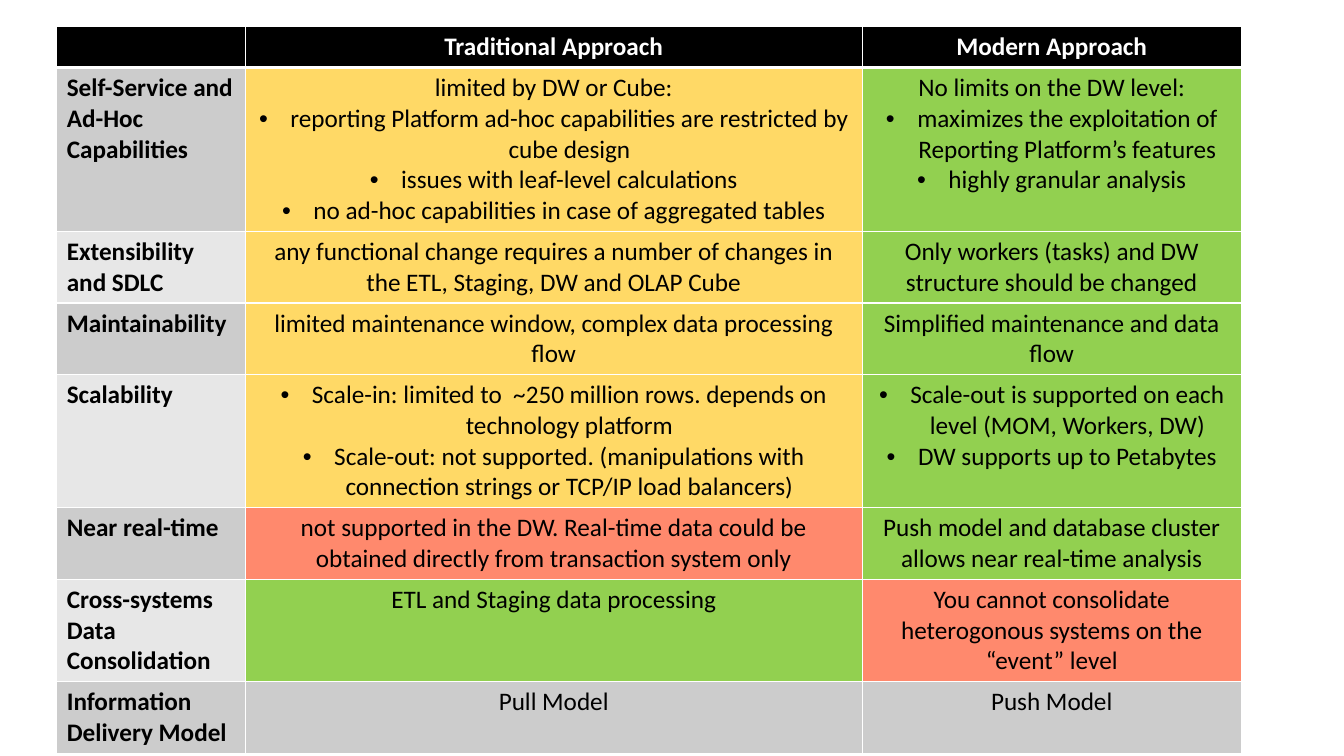
from lxml.etree import SubElement
from pptx import Presentation
from pptx.dml.color import RGBColor
from pptx.enum.text import PP_ALIGN
from pptx.oxml.ns import qn
from pptx.util import Cm, Pt

WHITE, BLACK = "FFFFFF", "000000"
GRAY, LIGHT_GRAY = "CCCCCC", "E7E7E7"
YELLOW, GREEN, RED = "FFD966", "92D050", "FF896D"
BULLET = "• "


def color(hex_code):
    return RGBColor.from_string(hex_code)


def set_borders(cell, widths):
    """Draw white left, right, top and bottom borders of the given widths."""
    properties = cell._tc.get_or_add_tcPr()
    for position, (side, width) in enumerate(zip("LRTB", widths)):
        line = SubElement(properties, qn(f"a:ln{side}"), w=str(Pt(width)))
        fill = SubElement(line, qn("a:solidFill"))
        SubElement(fill, qn("a:srgbClr"), val=WHITE)
        properties.insert(position, line)


# Each row holds (fill, paragraphs) for its three cells
rows = [
    [(BLACK, []),
     (BLACK, ["Traditional Approach"]),
     (BLACK, ["Modern Approach"])],
    [(GRAY, ["Self-Service and Ad-Hoc Capabilities"]),
     (YELLOW, ["limited by DW or Cube:",
               "• reporting Platform ad-hoc capabilities are restricted by cube design",
               "• issues with leaf-level calculations",
               "• no ad-hoc capabilities in case of aggregated tables"]),
     (GREEN, ["No limits on the DW level:",
              "• maximizes the exploitation of Reporting Platform’s features",
              "• highly granular analysis"])],
    [(LIGHT_GRAY, ["Extensibility and SDLC"]),
     (YELLOW, ["any functional change requires a number of changes in the ETL, Staging, DW and OLAP Cube"]),
     (GREEN, ["Only workers (tasks) and DW structure should be changed"])],
    [(GRAY, ["Maintainability"]),
     (YELLOW, ["limited maintenance window, complex data processing flow"]),
     (GREEN, ["Simplified maintenance and data flow"])],
    [(LIGHT_GRAY, ["Scalability"]),
     (YELLOW, ["• Scale-in: limited to  ~250 million rows. depends on technology platform",
               "• Scale-out: not supported. (manipulations with connection strings or TCP/IP load balancers)"]),
     (GREEN, ["• Scale-out is supported on each level (MOM, Workers, DW)",
              "• DW supports up to Petabytes"])],
    [(GRAY, ["Near real-time"]),
     (RED, ["not supported in the DW. Real-time data could be obtained directly from transaction system only"]),
     (GREEN, ["Push model and database cluster allows near real-time analysis"])],
    [(LIGHT_GRAY, ["Cross-systems Data Consolidation"]),
     (GREEN, ["ETL and Staging data processing"]),
     (RED, ["You cannot consolidate heterogonous systems on the “event” level"])],
    [(GRAY, ["Information Delivery Model"]),
     (GRAY, ["Pull Model"]),
     (GRAY, ["Push Model"])],
]

# Page
deck = Presentation()
deck.slide_width, deck.slide_height = Cm(33.87), Cm(19.05)
page = deck.slides.add_slide(deck.slide_layouts[6])

# Table grid: rows grow to fit their text
frame = page.shapes.add_table(len(rows), 3, Cm(1.43), Cm(0.67), Cm(29.85), Cm(18.06))
table = frame.table
for column, width in zip(table.columns, (4.75, 15.55, 9.55)):
    column.width = Cm(width)
for row in table.rows:
    row.height = Cm(1.03)
frame.height = Cm(18.06)

# Cells
for row_index, row in enumerate(rows):
    is_header = row_index == 0
    for column_index, (fill, paragraphs) in enumerate(row):
        is_label = column_index == 0
        cell = table.cell(row_index, column_index)
        cell.fill.solid()
        cell.fill.fore_color.rgb = color(fill)
        set_borders(cell, (1, 1, 3 if row_index == 1 else 1, 3 if is_header else 1))

        for index, text in enumerate(paragraphs):
            para = cell.text_frame.paragraphs[0] if index == 0 else cell.text_frame.add_paragraph()
            para.alignment = PP_ALIGN.LEFT if is_label else PP_ALIGN.CENTER
            if text.startswith(BULLET):
                settings = para._p.get_or_add_pPr()
                settings.set("marL", str(Cm(0.79)))
                settings.set("indent", str(-Cm(0.79)))
                SubElement(settings, qn("a:buFont"), typeface="Arial")
                SubElement(settings, qn("a:buChar"), char="•")
            span = para.add_run()
            span.text = text.removeprefix(BULLET)
            span.font.name = "Calibri"
            span.font.size = Pt(18)
            span.font.bold = is_header or is_label
            span.font.color.rgb = color(WHITE if is_header else BLACK)

deck.save("out.pptx")
